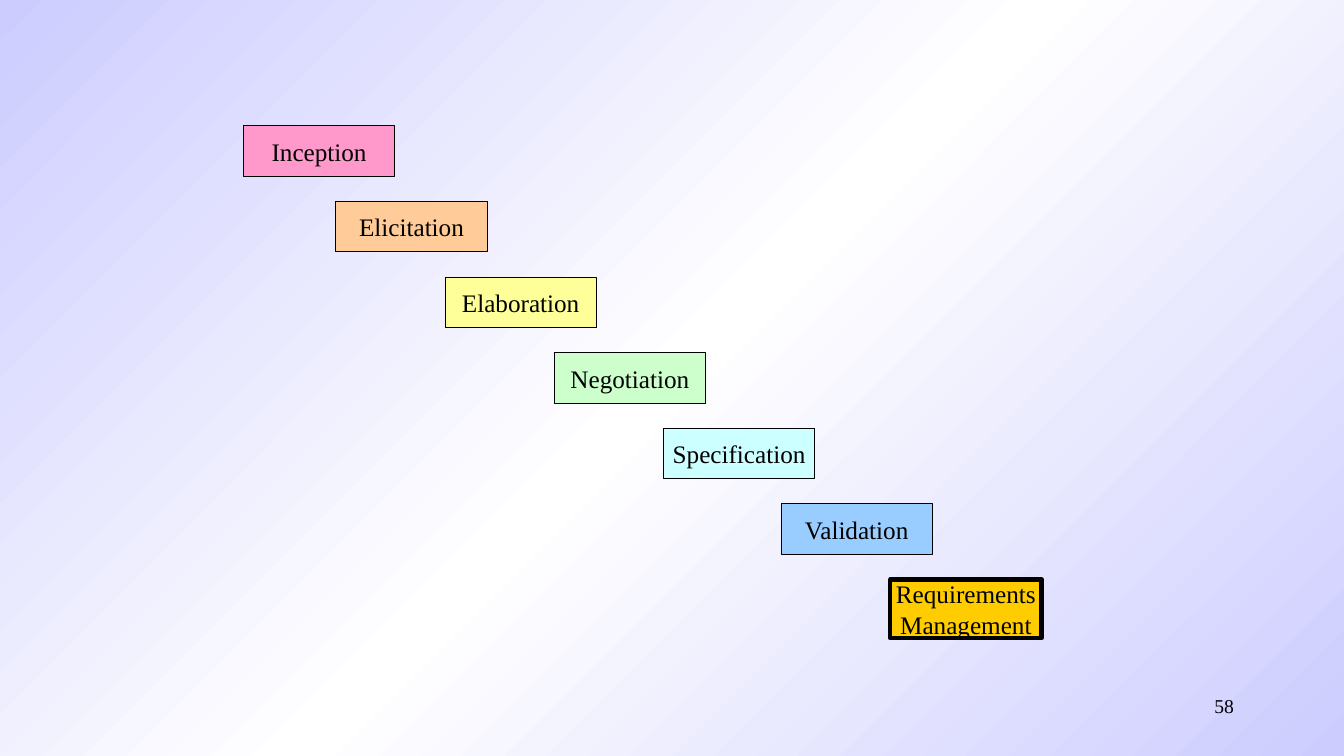
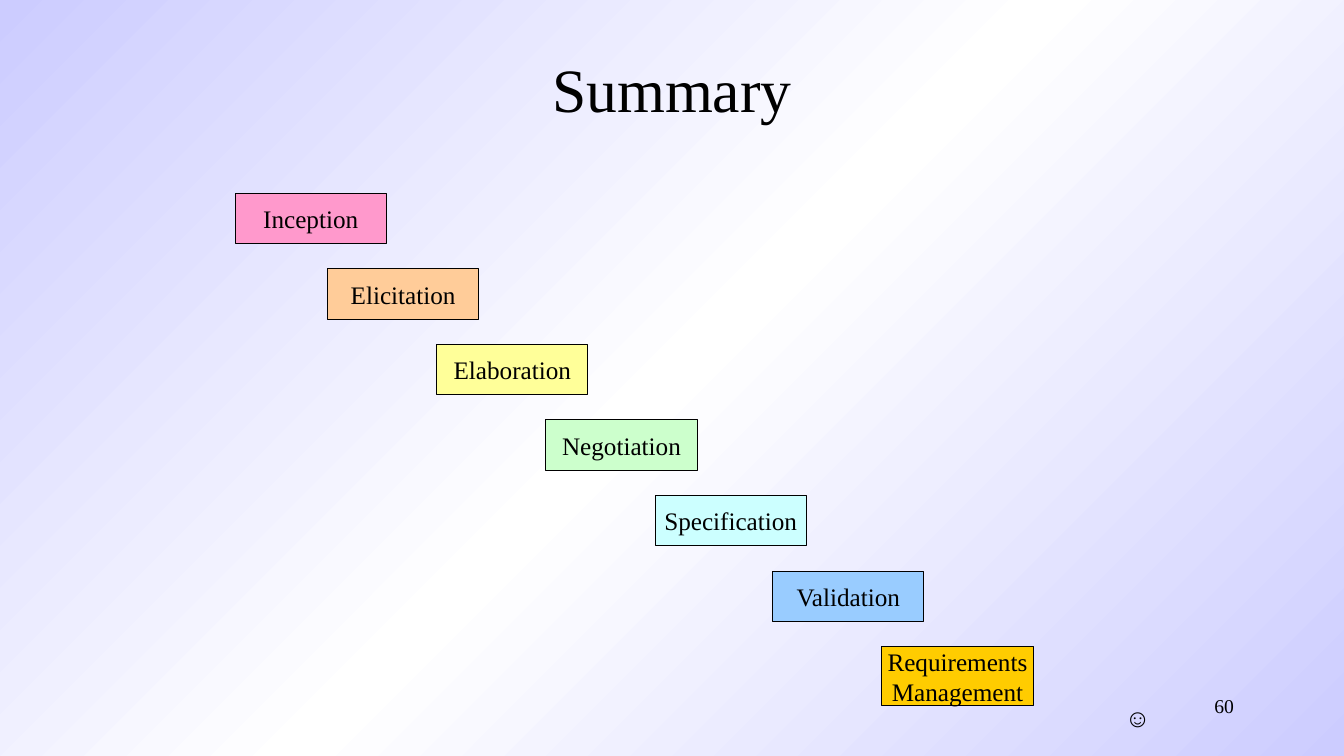
"""Build two slides showing the requirements engineering tasks as a staircase."""
from copy import deepcopy
from dataclasses import dataclass
from typing import NamedTuple

from pptx import Presentation
from pptx import util as u
from pptx.dml.color import RGBColor
from pptx.enum import shapes, text
from pptx.oxml.ns import qn


@dataclass(frozen=True)
class Theme:
    """Colours, font, type sizes and line widths, in points."""
    ink: str = "000000"
    backdrop: tuple[str, ...] = ("CCCCFF", "FFFFFF", "CCCCFF")
    backdrop_angle: int = 315
    font: str = "Times New Roman"
    title: int = 44
    label: int = 18
    number: int = 14
    outline: float = 0.75
    emphasis: float = 3


class Task(NamedTuple):
    """One step: its label, fill, column offset and height in rows."""
    label: str
    fill: str
    column: int
    rows: int = 6


class Area(NamedTuple):
    """A rectangle in grid units."""
    column: float
    row: float
    columns: float
    rows: float


THEME = Theme()
COLUMNS, ROWS = 160, 90
UNIT = u.Inches(1) // 12
TASK_COLUMNS, STEP_ROWS = 18, 9
TASKS = (
    Task("Inception", "FF99CC", 0),
    Task("Elicitation", "FFCC99", 11),
    Task("Elaboration", "FFFF99", 24),
    Task("Negotiation", "CCFFCC", 37),
    Task("Specification", "CCFFFF", 50),
    Task("Validation", "99CCFF", 64),
    Task("Requirements\nManagement", "FFCC00", 77, 7),
)
NUMBER_AREA = Area(114.7, 82, 33.4, 6)
TITLE_AREA = Area(29, 3, 102, 15)
SMILEY_AREA = Area(133, 83, 4.9, 4.8)


def emu(area: Area) -> list[int]:
    """Return the area's left, top, width and height in EMU."""
    return [round(length * UNIT) for length in area]


def write(frame, words: str, *, size: int = THEME.label,
          align=text.PP_ALIGN.CENTER, anchor=text.MSO_ANCHOR.TOP,
          wrap: bool = True) -> None:
    """Fill a text frame with formatted paragraphs."""
    frame.text = words
    frame.auto_size = text.MSO_AUTO_SIZE.NONE
    frame.word_wrap = wrap
    frame.vertical_anchor = anchor
    for paragraph in frame.paragraphs:
        paragraph.alignment = align
        paragraph.font.name = THEME.font
        paragraph.font.size = u.Pt(size)
        paragraph.font.color.rgb = RGBColor.from_string(THEME.ink)


def paint_backdrop(master) -> None:
    """Give the master the diagonal three-stop gradient."""
    fill = master.background.fill
    fill.gradient()
    fill.gradient_angle = THEME.backdrop_angle
    stops = master.element.find(f".//{qn('a:gsLst')}")
    stops.insert(1, deepcopy(stops[0]))
    last = len(THEME.backdrop) - 1
    for index, (stop, colour) in enumerate(zip(fill.gradient_stops, THEME.backdrop)):
        stop.color.rgb = RGBColor.from_string(colour)
        stop.position = index / last


def add_label(slide, area: Area, words: str, **style) -> None:
    """Place free-standing text."""
    write(slide.shapes.add_textbox(*emu(area)).text_frame, words, **style)


def add_task(slide, task: Task, area: Area, outline: float) -> None:
    """Draw one task box."""
    box = slide.shapes.add_shape(shapes.MSO_SHAPE.RECTANGLE, *emu(area))
    box.shadow.inherit = False
    box.fill.solid()
    box.fill.fore_color.rgb = RGBColor.from_string(task.fill)
    box.line.color.rgb = RGBColor.from_string(THEME.ink)
    box.line.width = u.Pt(outline)
    write(box.text_frame, task.label, anchor=text.MSO_ANCHOR.MIDDLE, wrap=False)


def add_staircase(slide, column: int, row: int, current: Task | None = None) -> None:
    """Draw all tasks stepping down from the given corner."""
    for step, task in enumerate(TASKS):
        area = Area(column + task.column, row + step * STEP_ROWS, TASK_COLUMNS, task.rows)
        add_task(slide, task, area, THEME.emphasis if task is current else THEME.outline)


def add_page(deck, layout: int, number: int):
    """Add a slide with its page number."""
    slide = deck.slides.add_slide(deck.slide_layouts[layout])
    add_label(slide, NUMBER_AREA, str(number), size=THEME.number, align=text.PP_ALIGN.RIGHT)
    return slide


def main() -> None:
    """Build and save the deck."""
    deck = Presentation()
    deck.slide_width, deck.slide_height = COLUMNS * UNIT, ROWS * UNIT
    paint_backdrop(deck.slide_master)

    management = add_page(deck, 6, 58)
    add_staircase(management, 29, 15, current=TASKS[-1])

    summary = add_page(deck, 5, 60)
    title = summary.shapes.title
    title.left, title.top, title.width, title.height = emu(TITLE_AREA)
    write(title.text_frame, "Summary", size=THEME.title, anchor=text.MSO_ANCHOR.MIDDLE)
    add_staircase(summary, 28, 23)
    add_label(summary, SMILEY_AREA, "☺", wrap=False)

    deck.save("out.pptx")


if __name__ == "__main__":
    main()
